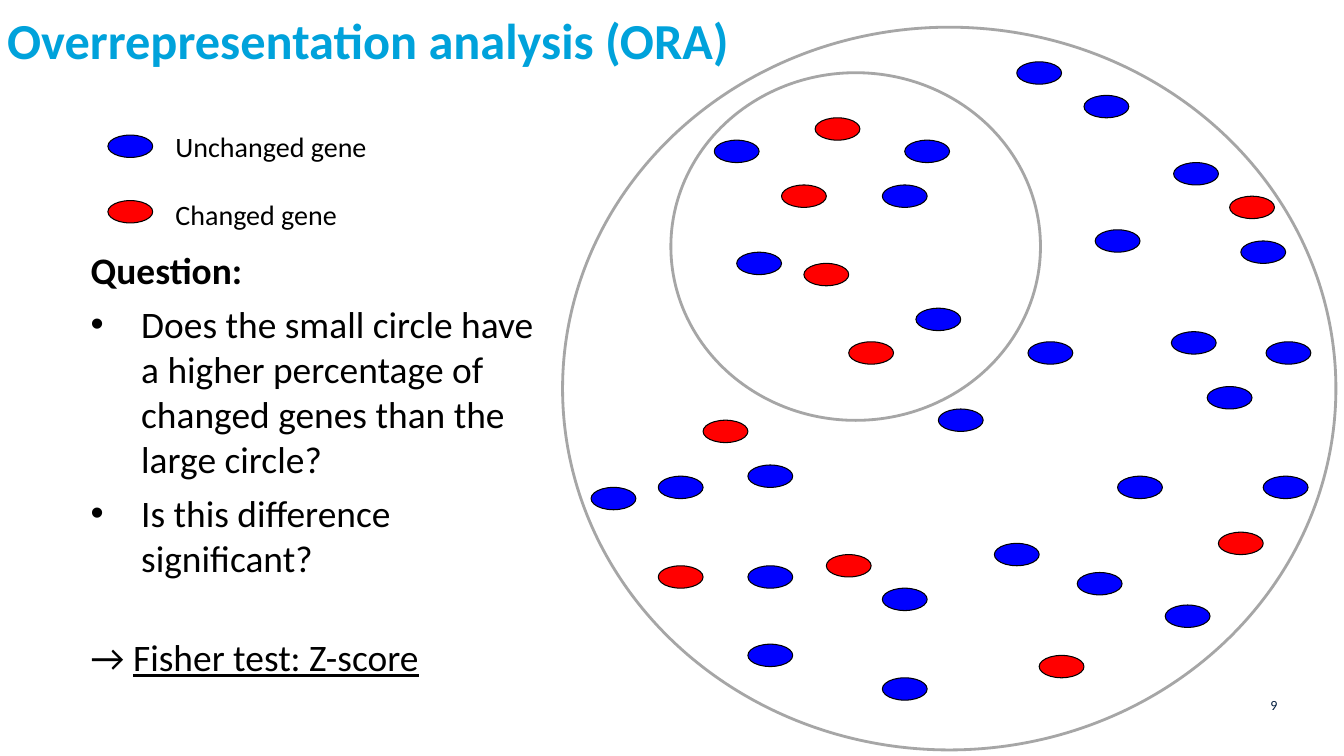
from lxml.etree import SubElement as Sub
from pptx import Presentation
from pptx.dml.color import RGBColor as Rgb
from pptx.enum.shapes import MSO_SHAPE as Kind
from pptx.enum.text import MSO_ANCHOR as Anchor, PP_ALIGN as Align
from pptx.oxml.ns import qn
from pptx.util import Inches, Pt

WIDE, HIGH = 13.33, 7.5
STEP = 1 / 9
GENE = (4 * STEP, 2 * STEP)
COLORS = {"title": "00A2DB", "page": "001C3D", "text": "000000", "ring": "A6A6A6",
          "same": "0000FF", "changed": "FF0000"}

CELLS = {
    "same": [(2, 41), (16, 39), (15, 20), (41, 28), (47, 18), (8, 40), (16, 48),
             (38, 46), (16, 55), (40, 3), (60, 19), (62.25, 28), (49, 40), (57, 32),
             (54, 12), (28, 14), (53.8, 27.1), (62, 40), (53.25, 51.5), (33, 34),
             (46, 6), (30, 10), (28, 58), (28, 50), (13, 10), (31, 25), (45.4, 48.6)],
    "changed": [(42, 56), (25, 28), (22, 8), (19, 14), (21, 21), (12, 35), (23, 47),
                (8, 48), (58, 45), (59, 15)],
}


def place(shape, box):
    """Move a shape to a box given in inches."""
    shape.left, shape.top, shape.width, shape.height = map(Inches, box)


def frame(shape, pad=(0, 0)):
    """Prepare the text frame of a shape and return it."""
    body = shape.text_frame
    body.word_wrap = True
    body.vertical_anchor = Anchor.TOP
    body.margin_left = body.margin_right = Inches(pad[0])
    body.margin_top = body.margin_bottom = Inches(pad[1])
    return body


def write(para, text, size=20, color="text", bold=False, line=False,
          align=Align.LEFT, gap=0):
    """Add a formatted run to a paragraph."""
    para.alignment = align
    para.space_before = Pt(gap)
    run = para.add_run()
    run.text = text
    font = run.font
    font.name, font.size, font.bold, font.underline = "Calibri", Pt(size), bold, line
    font.color.rgb = Rgb.from_string(COLORS[color])


def hang(para, mark=None):
    """Give a paragraph a hanging indent and, if asked, a bullet."""
    props = para._p.get_or_add_pPr()
    props.set("marL", str(Inches(0.5)))
    props.set("indent", str(Inches(-0.5)))
    if mark:
        Sub(props, qn("a:buFont"), typeface="Arial")
        Sub(props, qn("a:buChar"), char=mark)
    else:
        Sub(props, qn("a:buNone"))


def oval(slide, box, fill=None, line="text", width=0.75):
    """Draw an ellipse, hollow unless a fill is named."""
    shape = slide.shapes.add_shape(Kind.OVAL, *map(Inches, box))
    shape.shadow.inherit = False
    if fill:
        shape.fill.solid()
        shape.fill.fore_color.rgb = Rgb.from_string(COLORS[fill])
    else:
        shape.fill.background()
    shape.line.color.rgb = Rgb.from_string(COLORS[line])
    shape.line.width = Pt(width)


def head(slide, box):
    """Fill the title."""
    title = slide.shapes.title
    place(title, box)
    write(frame(title).paragraphs[0], "Overrepresentation analysis (ORA)",
          size=36, color="title", bold=True)


def page(slide, box):
    """Write the page number."""
    note = slide.shapes.add_textbox(*map(Inches, box))
    write(frame(note).paragraphs[0], "9", size=10, color="page", align=Align.RIGHT)


def genes(slide, box):
    """Draw both circles and scatter the genes on a fine grid."""
    left, top, wide, high = box
    oval(slide, (left + 0.14 * wide, top + 0.063 * high, 0.478 * wide, 0.481 * high),
         line="ring", width=2)
    oval(slide, box, line="ring", width=2)
    for kind, cells in CELLS.items():
        for col, row in cells:
            oval(slide, (left + 0.06 + col * STEP, top + 0.01 + row * STEP, *GENE), kind)


def legend(slide, box):
    """Explain the two gene colours."""
    left, top, wide, high = box
    for row, kind in enumerate(("same", "changed")):
        oval(slide, (left, top + 0.11 + row * 0.65, *GENE), kind)
    note = slide.shapes.add_textbox(*map(Inches, (left + 0.55, top, wide - 0.55, high)))
    body = frame(note, (0.12, 0.06))
    write(body.paragraphs[0], "Unchanged gene")
    write(body.add_paragraph(), "Changed gene", gap=24)


def question(slide, box):
    """Write the question, its bullets and the answer."""
    body = frame(slide.shapes.add_textbox(*map(Inches, box)))
    rows = [("Question:", None, True, 6.7),
            ("Does the small circle have a higher percentage of changed genes "
             "than the large circle?", "•", False, 6.7),
            ("Is this difference significant?", "•", False, 6.7),
            ("→ ", None, False, 39)]
    for spot, (text, mark, bold, gap) in enumerate(rows):
        para = body.add_paragraph() if spot else body.paragraphs[0]
        write(para, text, size=26.7, bold=bold, gap=gap)
        hang(para, mark)
    write(para, "Fisher test: Z-score", size=26.7, line=True, gap=gap)


def main():
    """Build and save the slide."""
    deck = Presentation()
    deck.slide_width, deck.slide_height = Inches(WIDE), Inches(HIGH)
    slide = deck.slides.add_slide(deck.slide_layouts[5])
    head(slide, (0.07, 0.09, 12.14, 0.83))
    page(slide, (12.13, 6.91, 0.54, 0.4))
    genes(slide, (5.58, 0.27, 7.67, 7.17))
    legend(slide, (1.07, 1.23, 4.06, 0.94))
    question(slide, (0.9, 2.45, 4.48, 4.28))
    deck.save("out.pptx")


if __name__ == "__main__":
    main()
